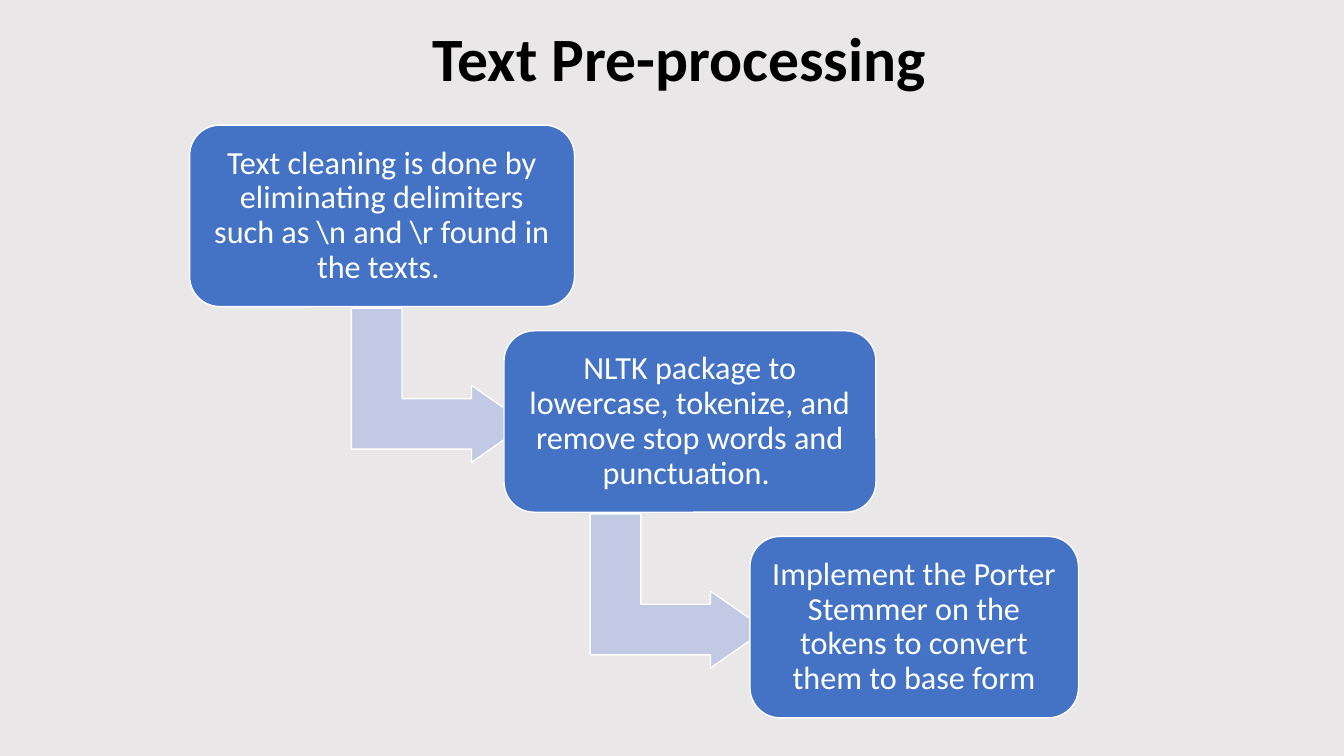
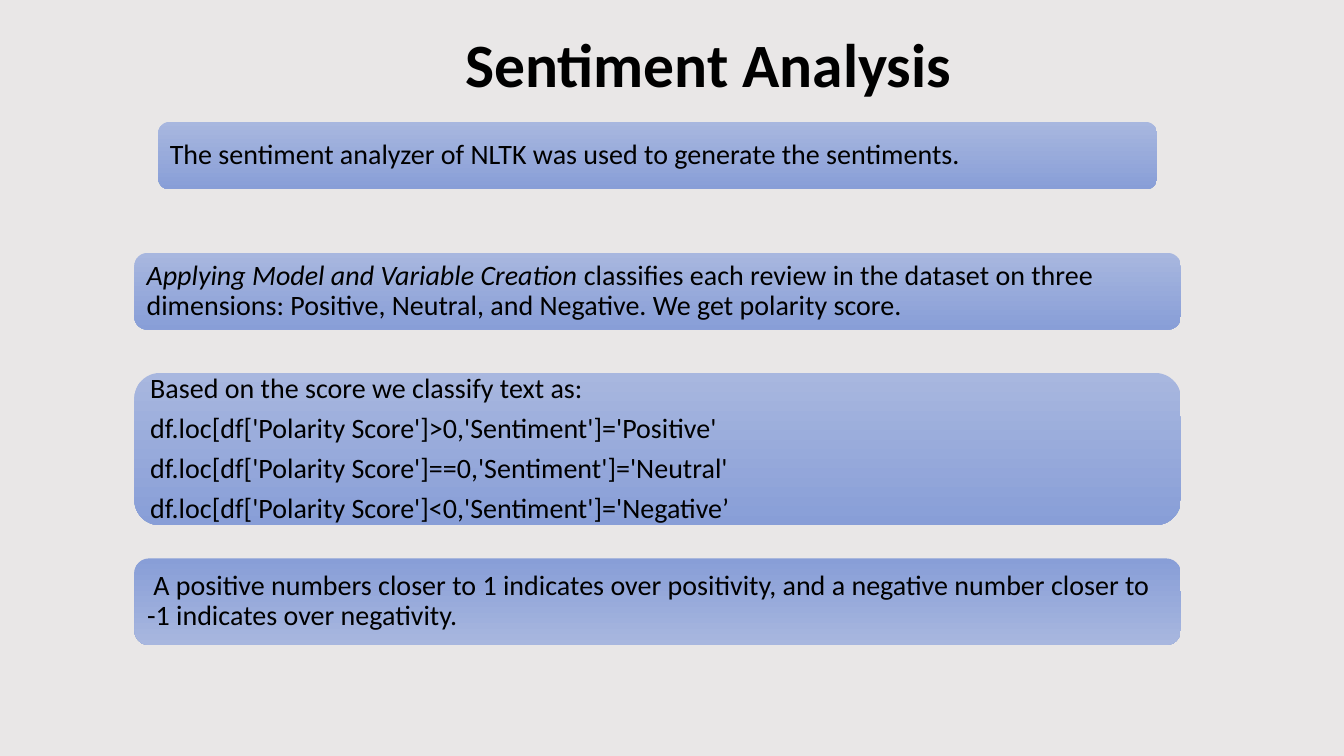
import dataclasses

import pptx
import pptx.dml.color
import pptx.enum.shapes
import pptx.enum.text
import pptx.util

Pt = pptx.util.Pt
SHAPE = pptx.enum.shapes.MSO_SHAPE
ALIGN = pptx.enum.text.PP_ALIGN
ANCHOR = pptx.enum.text.MSO_ANCHOR


@dataclasses.dataclass(frozen=True)
class Theme:
    font: str = "Calibri"
    background: str = "E9E7E7"
    ink: str = "000000"
    white: str = "FFFFFF"
    step_fill: str = "4472C4"
    arrow_fill: str = "C1C9E4"
    panel_light: str = "A8B7DF"
    panel_dark: str = "889ED7"
    title_size: float = 44
    step_size: float = 23
    panel_size: float = 20
    line_spacing: float = 0.9
    paragraph_gap: float = 0.35  # share of the type size


THEME = Theme()

# Content: title with its left, top, width, height
PREPROCESSING_TITLE = ("Text Pre-processing ", (95.8, 0, 789, 88.6))
SENTIMENT_TITLE = ("Sentiment Analysis ", (116.6, 9.4, 789, 77.8))

# Step text, box left, box width, left of the arrow to the next step
STEPS = [
    (r"Text cleaning is done by eliminating delimiters such as \n and \r found in the texts. ",
     135.4, 275, 258.5),
    ("NLTK package to lowercase, tokenize, and remove stop words and punctuation. ",
     360, 265.7, 429.1),
    ("Implement the Porter Stemmer on the tokens to convert them to base form",
     535.7, 234.7, None),
]
STEP_TOP, STEP_PITCH, STEP_HEIGHT = 89.4, 146.9, 129.6
ARROW_DROP, ARROW_WIDTH, ARROW_HEIGHT = 123.2, 110.2, 125.3
ARROW_BENDS = (0.328, 0.25, 0.358)

# Panel paragraphs, italic opening words, top, width, height, dark edge on top
PANEL_CENTER = 469.7
PANELS = [
    (["The sentiment analyzer of NLTK was used to generate the sentiments."],
     "", 87.1, 713.5, 48.2, False),
    (["Applying Model and Variable Creation classifies each review in the dataset on three "
      "dimensions: Positive, Neutral, and Negative. We get polarity score."],
     "Applying Model and Variable Creation", 180.7, 747.4, 54.7, False),
    (["Based on the score we classify text as:",
      "df.loc[df['Polarity Score']>0,'Sentiment']='Positive'",
      "df.loc[df['Polarity Score']==0,'Sentiment']='Neutral'",
      "df.loc[df['Polarity Score']<0,'Sentiment']='Negative’"],
     "", 266.4, 747.4, 108.7, False),
    ([" A positive numbers closer to 1 indicates over positivity, and a negative number "
      "closer to -1 indicates over negativity."],
     "", 398.9, 747.4, 61.9, True),
]


def rgb(code):
    return pptx.dml.color.RGBColor.from_string(code)


def style_run(run, size, color, bold=False, italic=False):
    run.font.name = THEME.font
    run.font.size = Pt(size)
    run.font.color.rgb = rgb(color)
    run.font.bold = bold
    run.font.italic = italic


def add_titled_slide(prs, title):
    text, box = title
    slide = prs.slides.add_slide(prs.slide_layouts[5])
    heading = slide.shapes.title
    heading.left, heading.top, heading.width, heading.height = map(Pt, box)
    frame = heading.text_frame
    frame.text = text
    frame.auto_size = pptx.enum.text.MSO_AUTO_SIZE.NONE
    frame.vertical_anchor = ANCHOR.MIDDLE
    frame.paragraphs[0].alignment = ALIGN.CENTER
    frame.paragraphs[0].line_spacing = THEME.line_spacing
    style_run(frame.paragraphs[0].runs[0], THEME.title_size, THEME.ink, bold=True)
    return slide


def add_block(slide, preset, left, top, width, height):
    block = slide.shapes.add_shape(preset, Pt(left), Pt(top), Pt(width), Pt(height))
    block.shadow.inherit = False
    return block


def paint(block, fill):
    block.fill.solid()
    block.fill.fore_color.rgb = rgb(fill)
    block.line.color.rgb = rgb(THEME.white)
    block.line.width = Pt(1)


def write(block, paragraphs, size, color, align, inset, italic_lead=""):
    frame = block.text_frame
    frame.word_wrap = True
    frame.vertical_anchor = ANCHOR.MIDDLE
    frame.margin_left = frame.margin_right = Pt(inset)
    frame.margin_top = frame.margin_bottom = Pt(inset)
    frame.text = "\n".join(paragraphs)
    if italic_lead:
        opening = frame.paragraphs[0]
        opening.text = italic_lead
        opening.add_run().text = paragraphs[0].removeprefix(italic_lead)
    for paragraph in frame.paragraphs:
        paragraph.alignment = align
        paragraph.line_spacing = THEME.line_spacing
        paragraph.space_after = Pt(size * THEME.paragraph_gap)
        for run in paragraph.runs:
            style_run(run, size, color, italic=run.text == italic_lead)


def build_preprocessing(prs):
    slide = add_titled_slide(prs, PREPROCESSING_TITLE)
    for index, (text, left, width, arrow_left) in enumerate(STEPS):
        top = STEP_TOP + index * STEP_PITCH
        # Bent arrow, drawn behind the boxes it joins
        if arrow_left is not None:
            arrow = add_block(slide, SHAPE.BENT_UP_ARROW, arrow_left, top + ARROW_DROP,
                              ARROW_WIDTH, ARROW_HEIGHT)
            arrow.rotation = 90
            for bend, value in enumerate(ARROW_BENDS):
                arrow.adjustments[bend] = value
            paint(arrow, THEME.arrow_fill)
        step = add_block(slide, SHAPE.ROUNDED_RECTANGLE, left, top, width, STEP_HEIGHT)
        paint(step, THEME.step_fill)
        write(step, [text], THEME.step_size, THEME.white, ALIGN.CENTER, 6.9)


def build_sentiment(prs):
    slide = add_titled_slide(prs, SENTIMENT_TITLE)
    for paragraphs, italic_lead, top, width, height, dark_on_top in PANELS:
        panel = add_block(slide, SHAPE.ROUNDED_RECTANGLE, PANEL_CENTER - width / 2,
                          top, width, height)
        # Vertical gradient
        panel.fill.gradient()
        panel.fill.gradient_angle = 270
        shades = [THEME.panel_light, THEME.panel_dark]
        if dark_on_top:
            shades.reverse()
        for stop, shade in zip(panel.fill.gradient_stops, shades):
            stop.color.rgb = rgb(shade)
        panel.line.fill.background()
        write(panel, paragraphs, THEME.panel_size, THEME.ink, ALIGN.LEFT, 6, italic_lead)


def main():
    prs = pptx.Presentation()
    prs.slide_width, prs.slide_height = Pt(960), Pt(540)
    backdrop = prs.slide_master.background.fill
    backdrop.solid()
    backdrop.fore_color.rgb = rgb(THEME.background)
    build_preprocessing(prs)
    build_sentiment(prs)
    prs.save("out.pptx")


if __name__ == "__main__":
    main()
